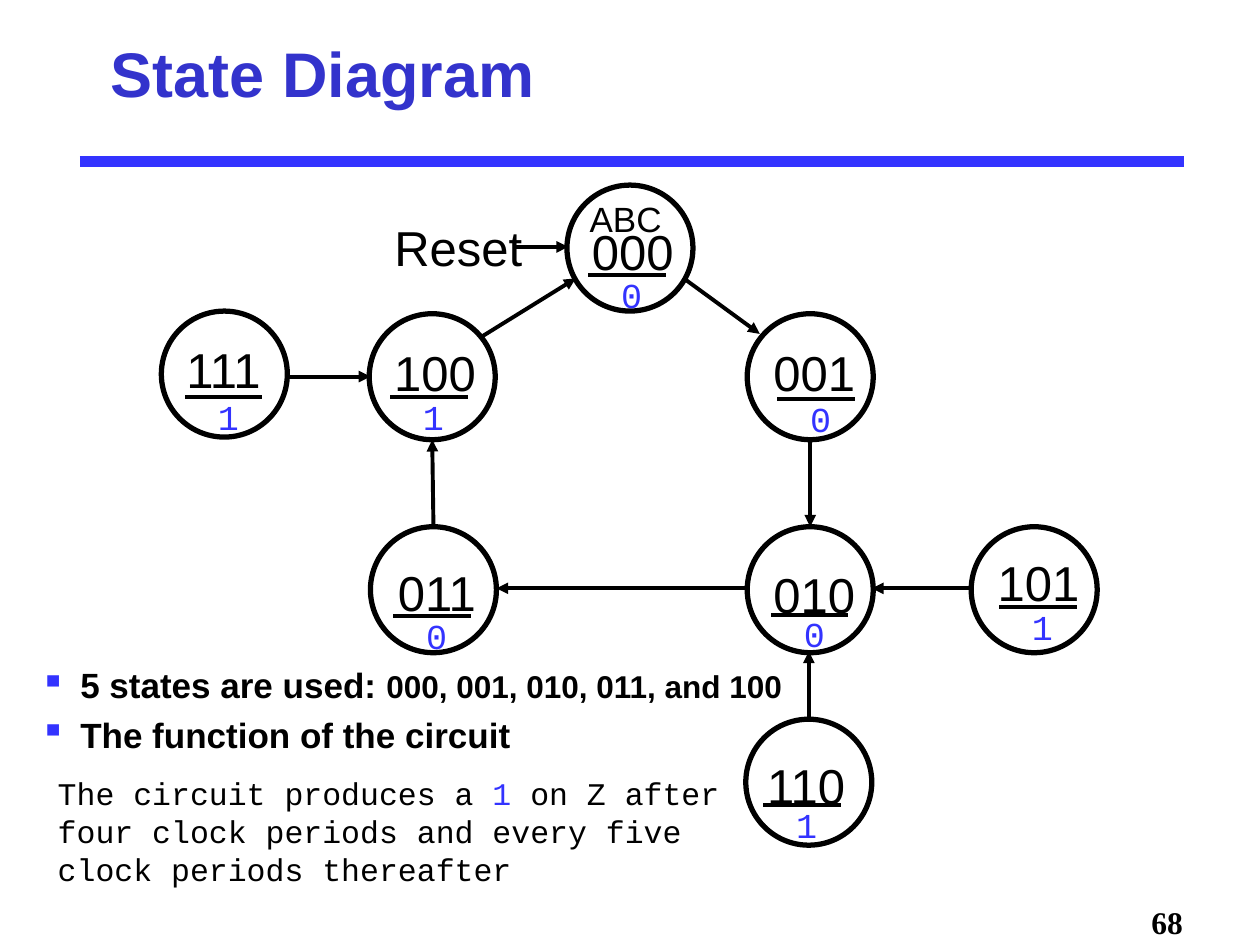
from lxml import etree
from pptx import Presentation
from pptx.dml.color import RGBColor
from pptx.enum.shapes import MSO_CONNECTOR, MSO_SHAPE
from pptx.enum.text import MSO_ANCHOR
from pptx.oxml.ns import qn
from pptx.util import Pt

LINE = MSO_CONNECTOR.STRAIGHT
OVAL = MSO_SHAPE.OVAL
TOP, MIDDLE = MSO_ANCHOR.TOP, MSO_ANCHOR.MIDDLE
BLACK = RGBColor(0, 0, 0)
BLUE = RGBColor(0x33, 0x33, 0xFF)
TITLE_BLUE = RGBColor(0x33, 0x33, 0xCC)
SANS, MONO, SERIF = "Arial", "Courier New", "Times New Roman"

DIAMETER = 72
BAR_WIDTH = 44.2
OUTPUT_DX, OUTPUT_DY = 11.6, -6.6

# code, output, circle corner, code corner, bar start
STATES = [
    ("000", "0", (324, 105.8), (331.2, 121), (336.2, 157)),
    ("001", "0", (427, 179.3), (434.9, 190), (444.2, 228.2)),
    ("010", "0", (427, 301), (434.9, 316.8), (440.6, 351.2)),
    ("011", "0", (211.7, 301), (220.3, 316), (224.8, 352.1)),
    ("100", "1", (211, 179.3), (218.2, 190), (223, 226.8)),
    ("111", "1", (92.2, 177.8), (99.4, 188.6), (105.8, 226.8)),
    ("101", "1", (555, 301), (563, 310.3), (571, 347)),
    ("110", "1", (426.2, 411), (431.3, 426.2), (436.2, 460)),
]
ARROWS = [
    ((391.7, 159.8), (434.2, 190.8)),
    ((463, 250), (463, 301)),
    ((427.7, 336.2), (283.7, 336.2)),
    ((274.3, 193), (329, 159.1)),
    ((247.7, 301), (247, 251.3)),
    ((164.9, 215.2), (211.7, 215.2)),
    ((555, 336.2), (498.2, 336.2)),
    ((462.2, 411), (462.2, 372.2)),
    ((293, 141.1), (324.7, 141.1)),
]
BULLETS = [
    [("5 states are used: ", 20), ("000, 001, 010, 011, and 100", 18)],
    [("The function of the circuit", 20)],
]
SUMMARY = [
    ("The circuit produces a ", BLACK),
    ("1", BLUE),
    (" on Z after four clock periods and every five clock periods thereafter", BLACK),
]


def add_line(s, start, end, width, color=BLACK, arrow=False):
    c = s.shapes.add_connector(LINE, *(Pt(v) for v in (*start, *end)))
    c.line.width = Pt(width)
    c.line.color.rgb = color
    if arrow:
        etree.SubElement(c.line._get_or_add_ln(), qn("a:tailEnd"), type="triangle")
    etree.SubElement(c._element.spPr, qn("a:effectLst"))


def add_box(s, x, y, w, h, wrap=True, anchor=TOP, inset=5.6):
    tf = s.shapes.add_textbox(Pt(x), Pt(y), Pt(w), Pt(h)).text_frame
    tf.word_wrap = wrap
    tf.vertical_anchor = anchor
    tf.margin_top = Pt(inset)
    return tf


def style(p, size, font=SANS, color=BLACK, bold=False):
    p.font.size = Pt(size)
    p.font.name = font
    p.font.color.rgb = color
    p.font.bold = bold


def add_label(s, text, box, size, font=SANS, color=BLACK, bold=False, **layout):
    p = add_box(s, *box, **layout).paragraphs[0]
    p.text = text
    style(p, size, font, color, bold)


def add_state(s, code, output, circle, label, bar):
    sp = s.shapes.add_shape(OVAL, *(Pt(v) for v in (*circle, DIAMETER, DIAMETER)))
    sp.shadow.inherit = False
    sp.fill.background()
    sp.line.color.rgb = BLACK
    sp.line.width = Pt(3)
    add_label(s, code, (*label, 74.9, 36.7), 28)
    x, y = bar
    add_label(s, output, (x + OUTPUT_DX, y + OUTPUT_DY, 26, 31), 20, MONO, BLUE, wrap=False)
    add_line(s, bar, (x + BAR_WIDTH, y), 2.25)


def add_bullets(s):
    tf = add_box(s, 15.8, 375.7, 500, 60, inset=3.6)
    for i, runs in enumerate(BULLETS):
        p = tf.add_paragraph() if i else tf.paragraphs[0]
        for text, size in runs:
            r = p.add_run()
            r.text = text
            r.font.size = Pt(size)
        style(p, 20, bold=True)
        if i:
            p.space_before = Pt(4.4)
        pPr = p._p.get_or_add_pPr()
        pPr.set("marL", str(Pt(23)))
        pPr.set("indent", str(-Pt(23)))
        mark = etree.Element(qn("a:buClr"))
        etree.SubElement(mark, qn("a:srgbClr"), val=str(BLUE))
        char = etree.Element(qn("a:buChar"), char="▪")
        pPr.find(qn("a:defRPr")).addprevious(mark)
        mark.addnext(char)


def add_summary(s):
    p = add_box(s, 25.9, 436.3, 394, 73).paragraphs[0]
    for text, color in SUMMARY:
        r = p.add_run()
        r.text = text
        r.font.color.rgb = color
    p.font.size = Pt(18)
    p.font.name = MONO
    p.line_spacing = Pt(21.7)


def main():
    prs = Presentation()
    prs.slide_width, prs.slide_height = Pt(720), Pt(540)
    s = prs.slides.add_slide(prs.slide_layouts[6])
    add_line(s, (45.7, 92.2), (676.8, 92.2), 6, BLUE)
    add_label(s, "State Diagram", (56.2, 0, 612, 80.6), 36, color=TITLE_BLUE,
              bold=True, anchor=MIDDLE)
    for state in STATES:
        add_state(s, *state)
    for start, end in ARROWS:
        add_line(s, start, end, 2.25, arrow=True)
    add_label(s, "Reset", (218.2, 118.8, 97.2, 36.7), 28)
    add_label(s, "ABC", (329.8, 107.3, 58.3, 31.7), 20, wrap=False)
    add_bullets(s)
    add_summary(s)
    add_label(s, "68", (650.9, 512.6, 69, 27.4), 18, SERIF, bold=True, inset=3.6)
    prs.save("out.pptx")


if __name__ == "__main__":
    main()
